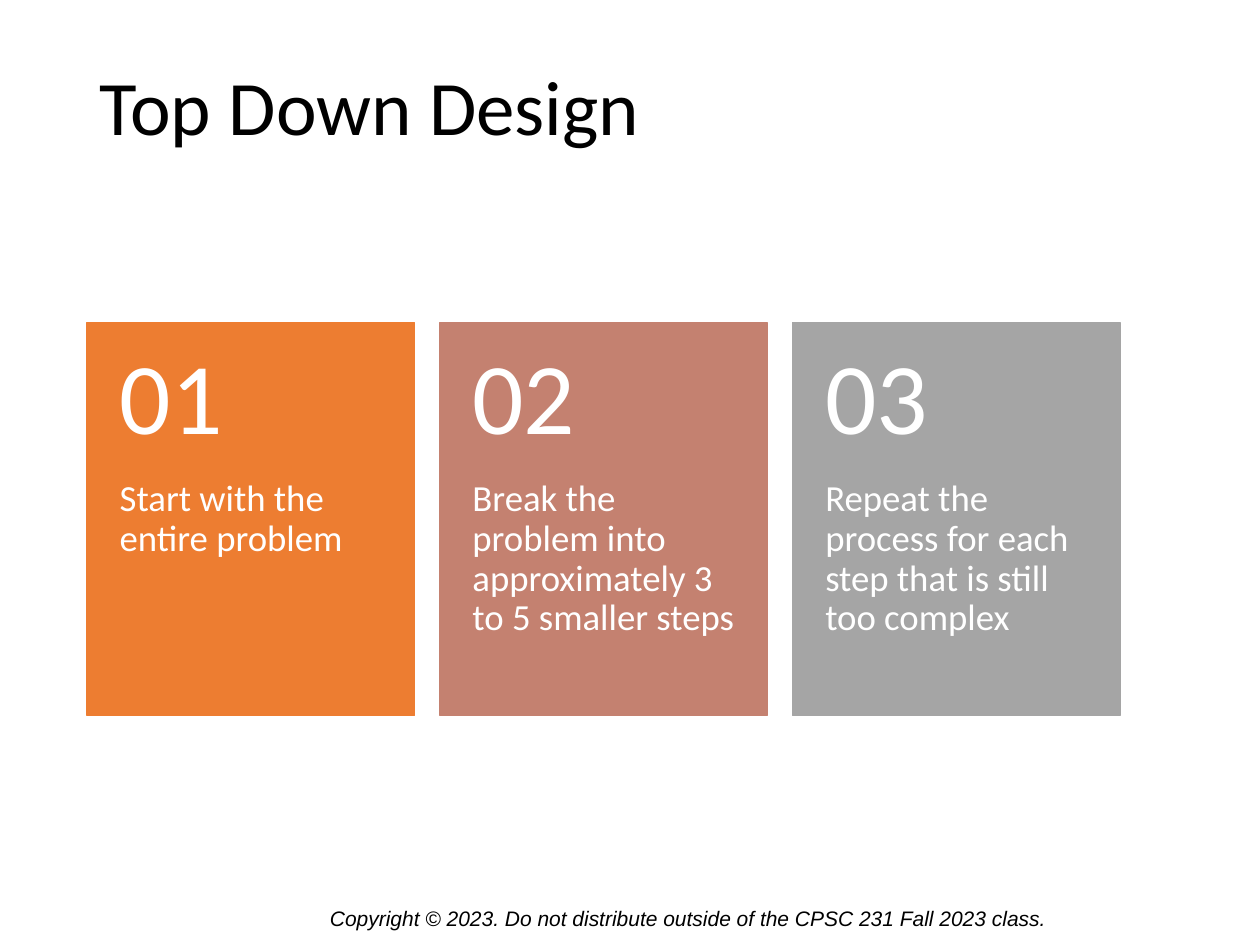
from pptx import Presentation
from pptx.dml.color import RGBColor
from pptx.enum.shapes import MSO_SHAPE
from pptx.enum.text import MSO_ANCHOR, PP_ALIGN
from pptx.util import Inches, Pt

BLACK, WHITE = "000000", "FFFFFF"
LEFT, CARD_TOP = 0.69, 2.56
CARD_WIDTH, CARD_HEIGHT, GAP = 2.6, 3.12, 0.2
NUMBER_HEIGHT = 1.25

STEPS = [
    ("Start with the entire problem", "ED7D31"),
    ("Break the problem into approximately 3 to 5 smaller steps", "C48170"),
    ("Repeat the process for each step that is still too complex", "A5A5A5"),
]


def color(value):
    return RGBColor.from_string(value)


def write_text(box, text, size, font_color, font="Calibri", spacing=0.9,
               anchor=MSO_ANCHOR.TOP, insets=(0.1, 0.05, 0.1, 0.05)):
    """Fill a box with one left-aligned paragraph."""
    frame = box.text_frame
    frame.text = text
    frame.word_wrap = True
    frame.vertical_anchor = anchor
    (frame.margin_left, frame.margin_top,
     frame.margin_right, frame.margin_bottom) = map(Inches, insets)
    para = frame.paragraphs[0]
    para.alignment = PP_ALIGN.LEFT
    para.line_spacing = spacing
    span = para.runs[0]
    span.font.name = font
    span.font.size = Pt(size)
    span.font.color.rgb = color(font_color)
    return span


def add_title(page, text):
    title = page.shapes.title
    title.left, title.top = Inches(LEFT), Inches(0.4)
    title.width, title.height = Inches(8.62), Inches(0.96)
    write_text(title, text, 44, BLACK, anchor=MSO_ANCHOR.MIDDLE)


def add_card(page, index, text, fill):
    """Group a coloured card with its number and its description."""
    left = Inches(LEFT + index * (CARD_WIDTH + GAP))
    width = Inches(CARD_WIDTH)
    group = page.shapes.add_group_shape()

    card = group.shapes.add_shape(MSO_SHAPE.RECTANGLE, left, Inches(CARD_TOP),
                                  width, Inches(CARD_HEIGHT))
    card.shadow.inherit = False
    card.fill.solid()
    card.fill.fore_color.rgb = color(fill)
    card.line.color.rgb = color(fill)
    card.line.width = Pt(1)

    description = group.shapes.add_textbox(
        left, Inches(CARD_TOP + NUMBER_HEIGHT),
        width, Inches(CARD_HEIGHT - NUMBER_HEIGHT))
    write_text(description, text, 21, WHITE, insets=(0.26, 0, 0.26, 0.36))

    number = group.shapes.add_textbox(left, Inches(CARD_TOP),
                                      width, Inches(NUMBER_HEIGHT))
    write_text(number, f"{index + 1:02d}", 58, WHITE,
               anchor=MSO_ANCHOR.MIDDLE, insets=(0.26, 0.18, 0.26, 0.18))


def add_copyright(page, text):
    box = page.shapes.add_textbox(Inches(2.52), Inches(7.14),
                                  Inches(6.22), Inches(0.3))
    span = write_text(box, text, 12, BLACK, font="Arial", spacing=1.0)
    span.font.italic = True


def main():
    deck = Presentation()
    deck.slide_width, deck.slide_height = Inches(10), Inches(7.5)
    page = deck.slides.add_slide(deck.slide_layouts[5])

    # Title and footer
    add_title(page, "Top Down Design")
    add_copyright(page, "Copyright © 2023. Do not distribute outside of "
                        "the CPSC 231 Fall 2023 class.")

    # Numbered step cards
    for index, (text, fill) in enumerate(STEPS):
        add_card(page, index, text, fill)

    deck.save("out.pptx")


if __name__ == "__main__":
    main()
